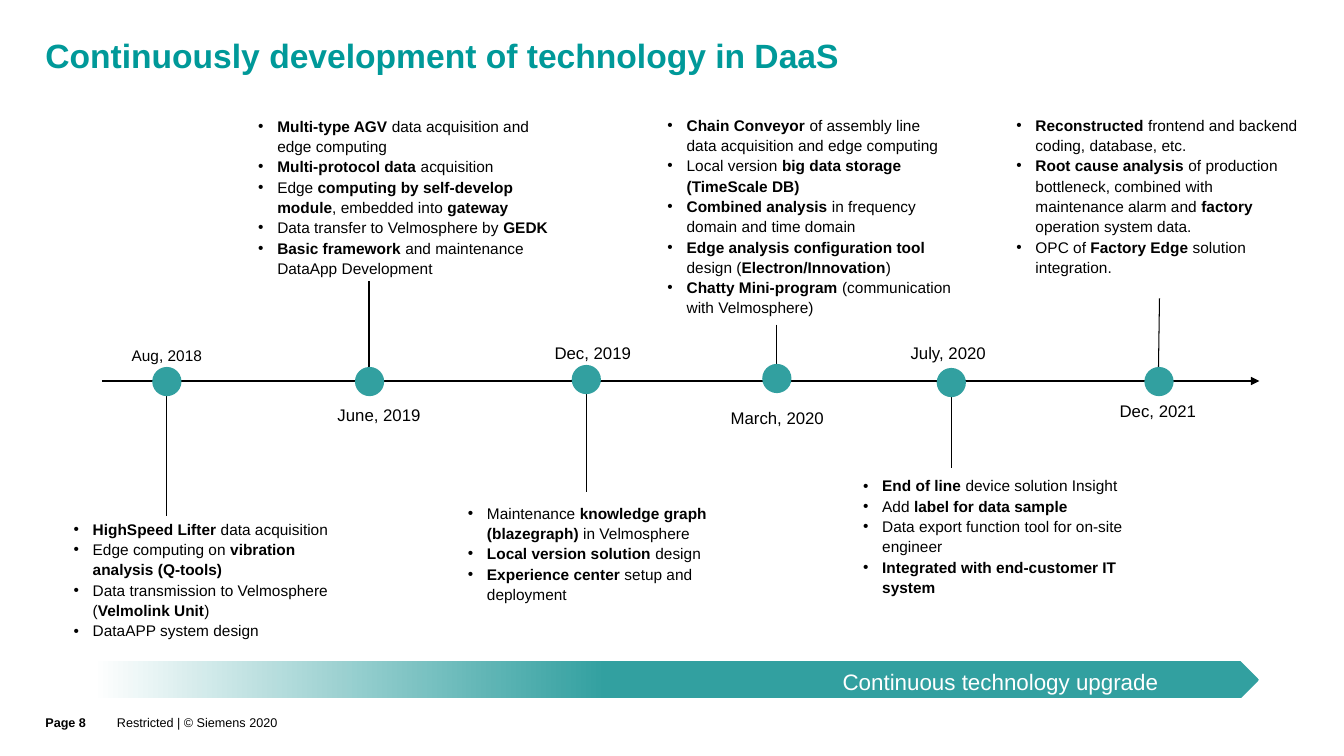
from lxml.etree import SubElement as Sub
from pptx import Presentation
from pptx.dml.color import RGBColor as Rgb
from pptx.enum.shapes import MSO_CONNECTOR as Conn, MSO_SHAPE as Geo
from pptx.enum.text import MSO_ANCHOR as Anchor, MSO_AUTO_SIZE as Auto, PP_ALIGN as Align
from pptx.oxml.ns import qn
from pptx.util import Emu, Pt

SCALE = 9144
DOT = 29
COLORS = {"title": "009999", "teal": "32A0A0", "ink": "000000", "white": "FFFFFF"}

STEPS = [
    {"dot": (151, 364), "stem": (165, 391, 165, 512),
     "date": ("Aug, 2018", 110, 343, 111, 19, 11),
     "box": (73, 514, 270, 121),
     "items": ["*HighSpeed Lifter *data acquisition",
               "Edge computing on *vibration analysis (Q-tools)*",
               "Data transmission to Velmosphere (*Velmolink Unit*)",
               "DataAPP system design"]},
    {"dot": (352, 364), "stem": (366, 279, 366, 366),
     "date": ("June, 2019", 311, 402, 130, 20, 12),
     "box": (256, 114, 298, 182),
     "items": ["*Multi-type AGV *data acquisition and edge computing",
               "*Multi-protocol data *acquisition",
               "Edge *computing by self-develop module*, embedded into *gateway*",
               "Data transfer to Velmosphere by *GEDK*",
               "*Basic framework *and maintenance DataApp Development"]},
    {"dot": (567, 362), "stem": (582, 387, 582, 488),
     "date": ("Dec, 2019", 523, 340, 130, 20, 12),
     "box": (464, 498, 240, 161),
     "items": ["Maintenance *knowledge graph (blazegraph) *in Velmosphere",
               "*Local version solution *design",
               "*Experience center *setup and deployment"]},
    {"dot": (756, 361), "stem": (770, 322, 770, 365),
     "date": ("March, 2020", 706, 405, 130, 20, 12),
     "box": (662, 113, 282, 202),
     "items": ["*Chain Conveyor *of assembly line data acquisition and edge computing",
               "Local version *big data storage (TimeScale DB)*",
               "*Combined analysis *in frequency domain and time domain",
               "*Edge analysis configuration tool* design (*Electron/Innovation*)",
               "*Chatty Mini-program* (communication with Velmosphere)"]},
    {"dot": (929, 365), "stem": (944, 387, 944, 464),
     "date": ("July, 2020", 864, 340, 153, 20, 12),
     "box": (856, 471, 282, 121),
     "items": ["*End of line *device solution Insight",
               "Add *label for data sample*",
               "Data export function tool for on-site engineer",
               "*Integrated with end-customer IT system*"]},
    {"dot": (1135, 364), "stem": (1149, 366, 1150, 296),
     "date": ("Dec, 2021", 1072, 398, 153, 20, 12),
     "box": (1008, 113, 281, 161),
     "items": ["*Reconstructed *frontend and backend coding, database, etc.",
               "*Root cause analysis* of production bottleneck, combined with "
               "maintenance alarm and *factory *operation system data.",
               "OPC of *Factory Edge *solution integration."]},
]


def px(*vals):
    return [Emu(v * SCALE) for v in vals]


def rgb(name):
    return Rgb.from_string(COLORS[name])


def style(para, size, color="ink", bold=None):
    font = para.font
    font.name = "Arial"
    font.size = Pt(size)
    font.bold = bold
    font.color.rgb = rgb(color)


def inset(frame, left, top, right, low):
    frame.margin_left, frame.margin_top, frame.margin_right, frame.margin_bottom = px(
        left, top, right, low)


def add_box(slide, box, pad=(0, 0, 0, 0), anchor=Anchor.TOP, grow=False):
    frame = slide.shapes.add_textbox(*px(*box)).text_frame
    frame.word_wrap = True
    frame.auto_size = Auto.SHAPE_TO_FIT_TEXT if grow else Auto.NONE
    frame.vertical_anchor = anchor
    inset(frame, *pad)
    return frame


def add_label(slide, text, box, size, color="ink", bold=None, align=Align.LEFT, **kind):
    para = add_box(slide, box, **kind).paragraphs[0]
    para.text = text
    para.alignment = align
    style(para, size, color, bold)
    return para


def add_list(slide, box, items):
    frame = add_box(slide, box, grow=True)
    for row, item in enumerate(items):
        para = frame.add_paragraph() if row else frame.paragraphs[0]
        props = para._p.get_or_add_pPr()
        indent = px(19)[0]
        props.set("marL", str(indent))
        props.set("indent", str(-indent))
        Sub(props, qn("a:buFont"), typeface="Arial")
        Sub(props, qn("a:buChar"), char="•")
        para.line_spacing = 1.1
        style(para, 11)
        for part, text in enumerate(item.split("*")):
            if text:
                run = para.add_run()
                run.text = text
                run.font.bold = part % 2 == 1


def add_line(slide, ends, arrow=False):
    line = slide.shapes.add_connector(Conn.STRAIGHT, *px(*ends))
    line.line.width = Pt(0.75)
    line.line.color.rgb = rgb("ink")
    if arrow:
        Sub(line.line._get_or_add_ln(), qn("a:tailEnd"), type="triangle")
    Sub(line._element.spPr, qn("a:effectLst"))


def add_form(slide, geo, box):
    form = slide.shapes.add_shape(geo, *px(*box))
    form.shadow.inherit = False
    form.line.fill.background()
    return form


def add_dot(slide, left, top):
    fill = add_form(slide, Geo.OVAL, (left, top, DOT, DOT)).fill
    fill.solid()
    fill.fore_color.rgb = rgb("teal")


def add_banner(slide, text, box):
    form = add_form(slide, Geo.PENTAGON, box)
    form.fill.gradient()
    form.fill.gradient_angle = 180
    for stop, place, color in zip(form.fill.gradient_stops, (0.56, 1), ("teal", "white")):
        stop.position = place
        stop.color.rgb = rgb(color)
    frame = form.text_frame
    frame.vertical_anchor = Anchor.MIDDLE
    inset(frame, 12, 6, 91, 6)
    para = frame.paragraphs[0]
    para.text = text
    para.alignment = Align.RIGHT
    para.line_spacing = 1.1
    style(para, 16, "white")


def main():
    deck = Presentation()
    deck.slide_width, deck.slide_height = px(1333, 750)
    slide = deck.slides.add_slide(deck.slide_layouts[6])
    title = add_label(slide, "Continuously development of technology in DaaS",
                      (45, 14, 1079, 63), 24, "title", True,
                      pad=(0, 0, 35, 2), anchor=Anchor.BOTTOM)
    title.line_spacing = 0.9
    for text, left, width, bold in (("Restricted | © Siemens 2020", 116, 1008, None),
                                    ("Page 8", 45, 71, True)):
        add_label(slide, text, (left, 690, width, 60), 9, bold=bold,
                  pad=(0, 0, 0, 7), anchor=Anchor.MIDDLE)
    add_line(slide, (101, 378, 1249, 378), arrow=True)
    add_banner(slide, "Continuous technology upgrade", (92, 656, 1157, 37))
    for step in STEPS:
        add_line(slide, step["stem"])
        add_dot(slide, *step["dot"])
        text, *box, size = step["date"]
        add_label(slide, text, box, size, align=Align.CENTER, grow=True)
        add_list(slide, step["box"], step["items"])
    deck.save("out.pptx")


if __name__ == "__main__":
    main()
